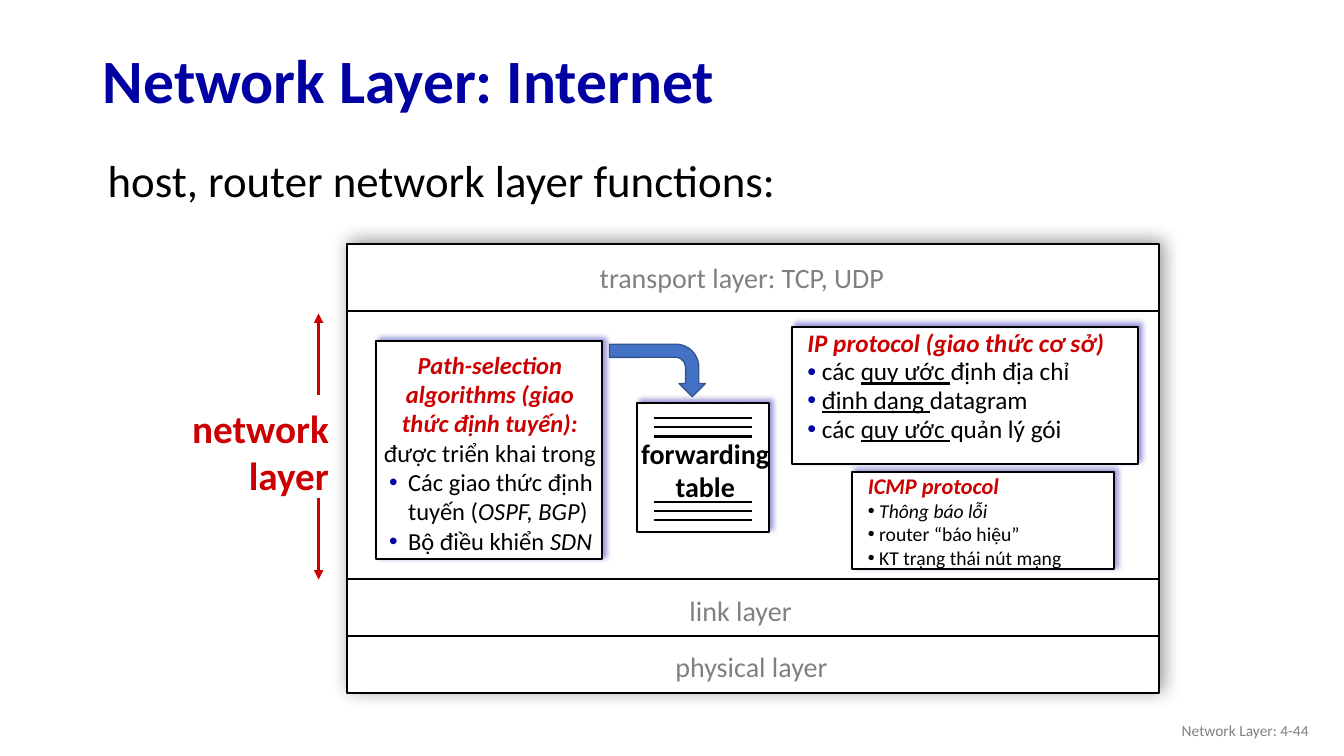
from lxml.etree import SubElement
from pptx import Presentation
from pptx.dml.color import RGBColor
from pptx.enum.shapes import MSO_CONNECTOR, MSO_SHAPE
from pptx.enum.text import MSO_ANCHOR, MSO_AUTO_SIZE, PP_ALIGN
from pptx.oxml.ns import qn
from pptx.util import Inches, Pt

FONT = "Calibri"
NAVY, RED, BLACK, GRAY, WHITE = "0000A3", "CC0000", "000000", "808080", "FFFFFF"
ARROW_FILL, ARROW_EDGE = "4472C4", "325491"


def color(hex_code):
    """Turn a hex string into a colour."""
    return RGBColor.from_string(hex_code)


def style_run(run, size, ink=BLACK, marks=""):
    """Format a run; marks holds b, i and u for bold, italic and underline."""
    font = run.font
    font.name, font.size = FONT, Pt(size)
    font.color.rgb = color(ink)
    font.bold, font.italic, font.underline = (mark in marks for mark in "biu")


def add_bullet(paragraph, ink, margin=0, hanging=0):
    """Give a paragraph a round bullet."""
    properties = paragraph._p.get_or_add_pPr()
    properties.set("marL", str(Inches(margin)))
    properties.set("indent", str(-Inches(hanging)))
    bullet_color = SubElement(properties, qn("a:buClr"))
    SubElement(bullet_color, qn("a:srgbClr")).set("val", ink)
    SubElement(properties, qn("a:buFont")).set("typeface", "Arial")
    SubElement(properties, qn("a:buChar")).set("char", "•")


def add_text(slide, box, paragraphs, size, ink=BLACK, marks="",
             align=PP_ALIGN.LEFT, wrap=False):
    """Add a text box; each paragraph is a string or a list of (text, marks, ink)."""
    frame = slide.shapes.add_textbox(*map(Inches, box)).text_frame
    frame.word_wrap = wrap
    frame.auto_size = MSO_AUTO_SIZE.NONE if wrap else MSO_AUTO_SIZE.SHAPE_TO_FIT_TEXT
    for index, content in enumerate(paragraphs):
        paragraph = frame.add_paragraph() if index else frame.paragraphs[0]
        paragraph.alignment = align
        pieces = [(content, marks, ink)] if isinstance(content, str) else content
        for text, piece_marks, piece_ink in pieces:
            run = paragraph.add_run()
            run.text = text
            style_run(run, size, piece_ink, piece_marks)
    return frame


def add_panel(slide, box, shadow=NAVY, blur=4):
    """Add a white outlined rectangle with a soft shadow."""
    panel = slide.shapes.add_shape(MSO_SHAPE.RECTANGLE, *map(Inches, box))
    panel.shadow.inherit = False
    panel.fill.solid()
    panel.fill.fore_color.rgb = color(WHITE)
    panel.line.color.rgb = color(BLACK)
    panel.line.width = Pt(1.5)
    effects = panel._element.spPr.find(qn("a:effectLst"))
    outer = SubElement(effects, qn("a:outerShdw"), blurRad=str(Pt(blur)),
                       dist=str(Pt(3)), dir="18900000", algn="bl", rotWithShape="0")
    tint = SubElement(outer, qn("a:srgbClr"), val=shadow)
    SubElement(tint, qn("a:alpha"), val="40000")


def add_line(slide, start, end, ink=BLACK, width=1.5, arrow=False):
    """Add a straight line, with an arrowhead at its end if wanted."""
    line = slide.shapes.add_connector(
        MSO_CONNECTOR.STRAIGHT, *map(Inches, (*start, *end)))
    line.line.color.rgb = color(ink)
    line.line.width = Pt(width)
    if arrow:
        SubElement(line.line._get_or_add_ln(), qn("a:tailEnd"), type="triangle")
    SubElement(line._element.spPr, qn("a:effectLst"))


def add_heading(slide, box):
    """Place the title and the line of text below it."""
    left, top, width, height = box
    title = slide.shapes.title
    title.left, title.top, title.width, title.height = map(Inches, (left, top, width, 0.98))
    frame = title.text_frame
    frame.text = "Network Layer: Internet"
    frame.vertical_anchor = MSO_ANCHOR.MIDDLE
    frame.auto_size = MSO_AUTO_SIZE.NONE
    paragraph = frame.paragraphs[0]
    paragraph.alignment = PP_ALIGN.LEFT
    paragraph.line_spacing = 0.9
    style_run(paragraph.runs[0], 44, NAVY, "b")
    subtitle = add_text(slide, (left + 0.05, top + height - 0.48, 8.24, 0.48),
                        ["host, router network layer functions:"], 32, wrap=True)
    subtitle.paragraphs[0].line_spacing = 0.85


def add_layer_stack(slide, box):
    """Draw the protocol stack with its dividers and outer layer names."""
    left, top, width, height = box
    add_panel(slide, box, BLACK, 13)
    for offset in (0.67, 3.32, 3.89):
        add_line(slide, (left, top + offset), (left + width, top + offset))
    for name, x, y, name_width in (("transport layer: TCP, UDP", 2.41, 0.12, 3.1),
                                   ("link layer", 3.3, 3.42, 1.23),
                                   ("physical layer", 3.16, 3.97, 1.74)):
        add_text(slide, (left + x, top + y, name_width, 0.44), [name], 20, GRAY)


def add_layer_marker(slide, box):
    """Label the network layer with arrows to its upper and lower edges."""
    left, top, width, height = box
    add_text(slide, (left, top + 0.85, width, 1.04), ["network", "layer"],
             28, RED, "b", PP_ALIGN.RIGHT)
    axis, bottom = left + 1.38, top + height
    add_line(slide, (axis, top + 0.81), (axis, top), RED, 2.25, True)
    add_line(slide, (axis, bottom - 0.81), (axis, bottom), RED, 2.25, True)


def add_ip_protocol(slide, box):
    """Describe the IP protocol."""
    left, top, width, height = box
    add_panel(slide, box)
    conventions = [(" các ", "quy ước ", "định địa chỉ"),
                   (" ", "định dạng ", "datagram"),
                   (" các ", "quy ước ", "quản lý gói")]
    items = [[(before, "", BLACK), (key, "u", BLACK), (after, "", BLACK)]
             for before, key, after in conventions]
    heading = [("IP protocol (giao thức cơ sở)", "bi", RED)]
    frame = add_text(slide, (left + 0.05, top - 0.04, 3.19, 1.27), [heading, *items], 18)
    for paragraph in frame.paragraphs[1:]:
        paragraph.line_spacing = 0.95
        add_bullet(paragraph, NAVY)


def add_icmp_protocol(slide, box):
    """Describe the ICMP protocol."""
    left, top, width, height = box
    add_panel(slide, box)
    heading = [("ICMP protocol", "bi", RED)]
    errors = [(" ", "", BLACK), ("Thông báo lỗi", "i", BLACK)]
    frame = add_text(slide, (left + 0.06, top - 0.05, 2.78, 1.08),
                     [heading, errors, " router “báo hiệu”", " KT trạng thái nút mạng"],
                     14, wrap=True)
    frame.paragraphs[0].runs[0].font.size = Pt(16)
    for paragraph in frame.paragraphs[1:]:
        add_bullet(paragraph, BLACK)


def add_forwarding_table(slide, box):
    """Draw the forwarding table with rules above and below its name."""
    left, top, width, height = box
    add_panel(slide, box)
    add_text(slide, (left - 0.07, top + 0.28, 1.49, 0.77), ["forwarding", "table"],
             20, BLACK, "b", PP_ALIGN.CENTER)
    for block in (0.15, 0.98):
        for row in range(3):
            y = top + block + row * 0.09
            add_line(slide, (left + 0.17, y), (left + 1.14, y))


def add_path_selection(slide, box):
    """Describe path selection and point an arrow to the forwarding table."""
    left, top, width, height = box
    add_panel(slide, box)
    summary = [("Path-selection algorithms (giao thức định tuyến): ", "bi", RED),
               ("được triển khai trong", "", BLACK)]
    routing = [("Các giao thức định tuyến (", "", BLACK), ("OSPF, BGP", "i", BLACK),
               (")", "", BLACK)]
    controller = [("Bộ điều khiển ", "", BLACK), ("SDN", "i", BLACK)]
    frame = add_text(slide, (left - 0.03, top + 0.04, 2.32, 2.16),
                     [summary, routing, controller], 17.5, wrap=True)
    frame.paragraphs[0].alignment = PP_ALIGN.CENTER
    for paragraph in frame.paragraphs[1:]:
        add_bullet(paragraph, NAVY, 0.25, 0.19)
    arrow = slide.shapes.add_shape(
        MSO_SHAPE.BENT_ARROW, *map(Inches, (left + 2.53, top - 0.18, 0.52, 0.95)))
    arrow.rotation = 90
    arrow.shadow.inherit = False
    arrow.fill.solid()
    arrow.fill.fore_color.rgb = color(ARROW_FILL)
    arrow.line.color.rgb = color(ARROW_EDGE)
    arrow.line.width = Pt(1)


def add_page_label(slide, box):
    """Place the chapter and page number."""
    frame = add_text(slide, box, ["Network Layer: 4-44"], 11, GRAY,
                     align=PP_ALIGN.RIGHT, wrap=True)
    frame.vertical_anchor = MSO_ANCHOR.MIDDLE


def main():
    """Build the slide and save it."""
    deck = Presentation()
    deck.slide_width, deck.slide_height = Inches(13.33), Inches(7.5)
    slide = deck.slides.add_slide(deck.slide_layouts[5])
    add_heading(slide, (0.92, 0.34, 11.5, 1.69))
    add_layer_stack(slide, (3.44, 2.42, 8.06, 4.46))
    add_layer_marker(slide, (1.78, 3.11, 1.58, 2.64))
    add_ip_protocol(slide, (7.86, 3.24, 3.43, 1.36))
    add_icmp_protocol(slide, (8.45, 4.68, 2.6, 0.97))
    add_forwarding_table(slide, (6.32, 4, 1.31, 1.28))
    add_path_selection(slide, (3.73, 3.38, 2.24, 2.17))
    add_page_label(slide, (10.08, 7.05, 3, 0.4))
    deck.save("out.pptx")


if __name__ == "__main__":
    main()
